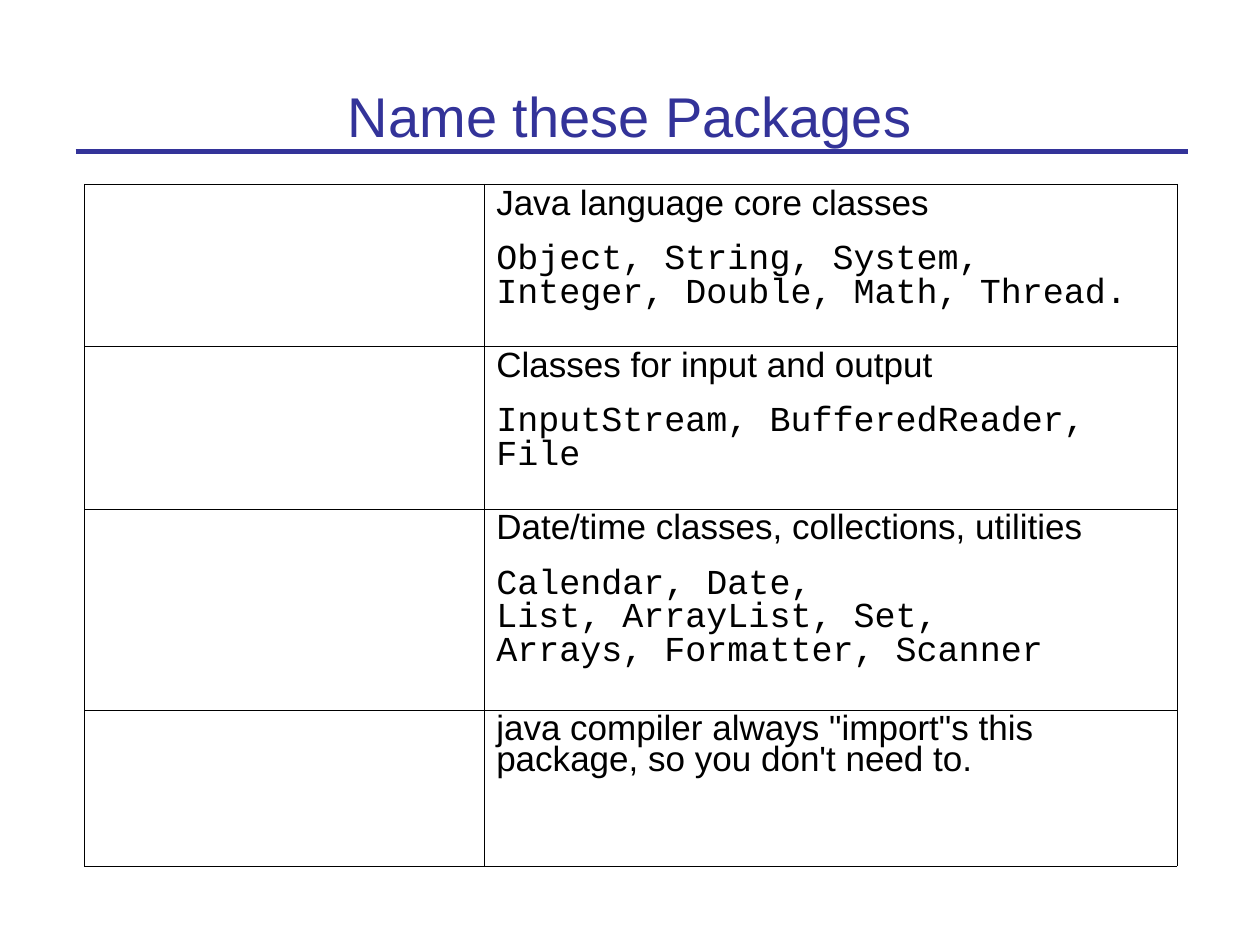
from dataclasses import dataclass

from lxml import etree
from pptx import Presentation
from pptx import util as u
from pptx.dml.color import RGBColor
from pptx.enum import shapes, text
from pptx.oxml import ns


@dataclass(frozen=True)
class Theme:
    accent: RGBColor = RGBColor(0x33, 0x33, 0x99)
    ink: RGBColor = RGBColor(0, 0, 0)
    sans: str = "Arial"
    mono: str = "Courier New"
    title_size: float = 32
    body_size: float = 20
    rule_width: float = 3
    border_width: float = 0.06


THEME = Theme()
COLUMN_WIDTHS = [228.2, 396]
# Row height, description, class names (\v is a line break)
PACKAGES = [
    (92.6, "Java language core classes",
     "Object, String, System, Integer, Double, Math, Thread."),
    (92.9, "Classes for input and output",
     "InputStream, BufferedReader, File"),
    (114.9, "Date/time classes, collections, utilities",
     "Calendar, Date,\vList, ArrayList, Set,\vArrays, Formatter, Scanner"),
    (89.3, "java compiler always \"import\"s this package, so you don't need to.",
     None),
]


def apply(target, values):
    for name, value in values.items():
        setattr(target, name, value)


def write(p, content, font, size, color, **layout):
    p.text = content
    apply(p, layout)
    for r in p.runs:
        apply(r.font, {"name": font, "size": u.Pt(size)})
        r.font.color.rgb = color


def add_title(s, content):
    sp = s.shapes.add_textbox(u.Pt(48.2), u.Pt(20.2), u.Pt(623.5), u.Pt(68.4))
    tf = sp.text_frame
    apply(tf, {"word_wrap": True, "vertical_anchor": text.MSO_ANCHOR.BOTTOM})
    write(tf.paragraphs[0], content, THEME.sans, THEME.title_size,
          THEME.accent, alignment=text.PP_ALIGN.CENTER)


def add_rule(s):
    y = u.Pt(86.4)
    line = s.shapes.add_connector(shapes.MSO_CONNECTOR.STRAIGHT,
                                  u.Pt(43.2), y, u.Pt(679), y)
    line.line.width = u.Pt(THEME.rule_width)
    line.line.color.rgb = THEME.accent
    etree.SubElement(line._element.spPr, ns.qn("a:effectLst"))


def format_cell(cell):
    cell.fill.background()
    tcPr = cell._tc.get_or_add_tcPr()
    for i, side in enumerate(("lnL", "lnR", "lnT", "lnB")):
        ln = etree.Element(ns.qn(f"a:{side}"), w=str(u.Pt(THEME.border_width)))
        fill = etree.SubElement(ln, ns.qn("a:solidFill"))
        etree.SubElement(fill, ns.qn("a:srgbClr"), val=str(THEME.ink))
        tcPr.insert(i, ln)


def add_package_table(s):
    heights = [row[0] for row in PACKAGES]
    frame = s.shapes.add_table(len(PACKAGES), len(COLUMN_WIDTHS),
                               u.Pt(48.2), u.Pt(105.2),
                               u.Pt(sum(COLUMN_WIDTHS)), u.Pt(sum(heights)))
    table = frame.table
    apply(table, {"first_row": False, "horz_banding": False})
    for column, width in zip(table.columns, COLUMN_WIDTHS):
        column.width = u.Pt(width)
    for row, (height, description, classes) in zip(table.rows, PACKAGES):
        row.height = u.Pt(height)
        for cell in row.cells:
            format_cell(cell)
        # The left cell stays empty for the answer
        tf = row.cells[1].text_frame
        write(tf.paragraphs[0], description, THEME.sans, THEME.body_size,
              THEME.ink, line_spacing=0.79)
        if classes:
            write(tf.add_paragraph(), classes, THEME.mono, THEME.body_size,
                  THEME.ink, line_spacing=0.84, space_before=u.Pt(12.5))


def main():
    prs = Presentation()
    apply(prs, {"slide_width": u.Pt(720), "slide_height": u.Pt(540)})
    s = prs.slides.add_slide(prs.slide_layouts[6])
    # Heading
    add_rule(s)
    add_title(s, "Name these Packages")
    # Quiz table
    add_package_table(s)
    prs.save("out.pptx")


if __name__ == "__main__":
    main()
